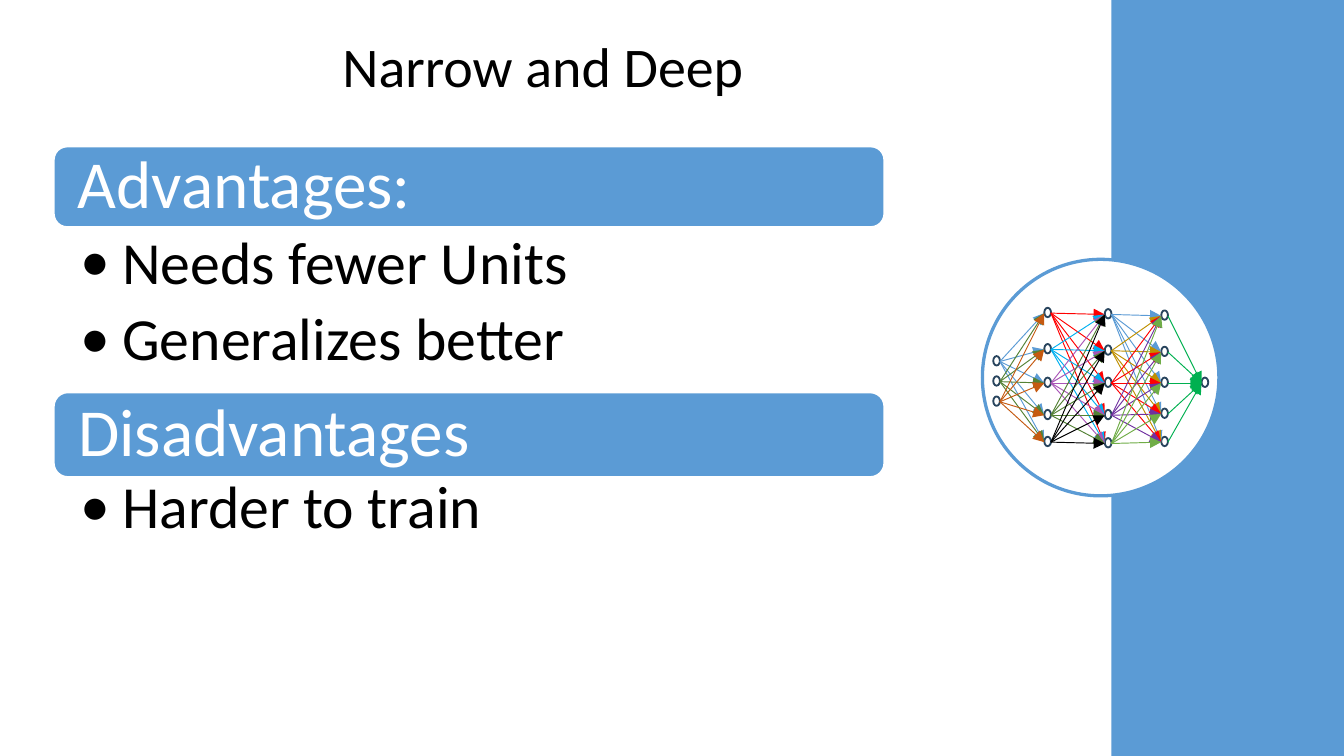
from dataclasses import dataclass
from itertools import pairwise, product

from lxml import etree
from pptx import Presentation
from pptx import util as u
from pptx.dml.color import RGBColor
from pptx.enum import shapes as sh, text as tx
from pptx.oxml.ns import qn

INK = {
    "white": "FFFFFF", "black": "000000", "blue": "5B9BD5", "navy": "28445D",
    "moss": "548235", "rust": "C55A11", "red": "FF0000", "sky": "00B0F0",
    "plum": "A955B7", "gold": "BF9000", "violet": "7030A0", "leaf": "70AD47",
    "green": "00B050",
}
FONT = "Calibri"
NODE_W, NODE_H, PORT = 0.05, 0.07, 0.04  # PORT: link height below a node's top


@dataclass
class Layer:
    x: float
    tops: list[float]
    inks: list[str]  # colour of the links leaving each node


@dataclass
class Block:
    head: str
    top: float
    high: float
    body: float
    deep: float
    items: list[str]


NET = [
    Layer(7.39, [2.65, 2.8, 2.95], ["blue", "moss", "rust"]),
    Layer(7.77, [2.29, 2.56, 2.81, 3.05, 3.25], ["red", "sky", "plum", "moss", "black"]),
    Layer(8.22, [2.3, 2.57, 2.81, 3.05, 3.26], ["blue", "gold", "red", "violet", "leaf"]),
    Layer(8.64, [2.31, 2.58, 2.81, 3.04, 3.25], ["green"] * 5),
    Layer(8.94, [2.81], []),
]
BLOCKS = [
    Block("Advantages:", 1.09, 0.6, 1.69, 1.19, ["Needs fewer Units", "Generalizes better"]),
    Block("Disadvantages", 2.92, 0.63, 3.51, 1.09, ["Harder to train"]),
]


def rgb(name: str) -> RGBColor:
    return RGBColor.from_string(INK[name])


def inches(*vals: float) -> list[u.Length]:
    return [u.Inches(v) for v in vals]


def add_form(pool, kind, box: tuple, fill: str = "", line: str = "", wide: float = 1):
    form = pool.add_shape(kind, *inches(*box))
    form.shadow.inherit = False
    if fill:
        form.fill.solid()
        form.fill.fore_color.rgb = rgb(fill)
    else:
        form.fill.background()
    if line:
        form.line.color.rgb = rgb(line)
        form.line.width = u.Pt(wide)
    else:
        form.line.fill.background()
    return form


def add_link(pool, start: tuple, end: tuple, ink: str) -> None:
    link = pool.add_connector(sh.MSO_CONNECTOR.STRAIGHT, *inches(*start, *end))
    link.line.color.rgb = rgb(ink)
    link.line.width = u.Pt(0.5)
    etree.SubElement(link.line._get_or_add_ln(), qn("a:tailEnd"), type="triangle")
    etree.SubElement(link._element.spPr, qn("a:effectLst"))


def write(form, lines: list[str], size: float, ink: str, pad: tuple, after: float,
          align=tx.PP_ALIGN.LEFT, anchor=tx.MSO_ANCHOR.MIDDLE, dots: bool = False) -> None:
    """Fill a shape with paragraphs; pad is left, top, right, bottom."""
    frame = form.text_frame
    frame.word_wrap = True
    frame.vertical_anchor = anchor
    (frame.margin_left, frame.margin_top,
     frame.margin_right, frame.margin_bottom) = inches(*pad)
    for i, line in enumerate(lines):
        para = frame.add_paragraph() if i else frame.paragraphs[0]
        para.text = line
        para.alignment = align
        para.line_spacing = 0.9
        para.space_after = u.Pt(after)
        para.font.name = FONT
        para.font.size = u.Pt(size)
        para.font.color.rgb = rgb(ink)
        if dots:
            add_dot(para)


def add_dot(para) -> None:
    para.level = 1
    props = para._p.get_or_add_pPr()
    hang = u.Inches(0.31)
    props.set("marL", str(hang))
    props.set("indent", str(-hang))
    last = props.find(qn("a:defRPr"))
    last.addprevious(etree.Element(qn("a:buFont"), typeface=FONT))
    last.addprevious(etree.Element(qn("a:buChar"), char="•"))


def draw_net(pool) -> None:
    for layer in NET:
        for top in layer.tops:
            add_form(pool, sh.MSO_SHAPE.OVAL, (layer.x, top, NODE_W, NODE_H), line="navy")
    for near, far in pairwise(NET):
        for (top, ink), goal in product(zip(near.tops, near.inks), far.tops):
            add_link(pool, (near.x + NODE_W, top + PORT), (far.x, goal + PORT), ink)


def draw_block(pool, block: Block) -> None:
    bar = add_form(pool, sh.MSO_SHAPE.ROUNDED_RECTANGLE,
                   (0.4, block.top, 6.18, block.high), "blue", "white")
    write(bar, [block.head], 36, "white", (0.15,) * 4, 0)
    body = pool.add_textbox(*inches(0.4, block.body, 6.18, block.deep))
    write(body, block.items, 32, "black", (0.2, 0.04, 0.25, 0.04), 6.4,
          anchor=tx.MSO_ANCHOR.TOP, dots=True)


def main() -> None:
    deck = Presentation()
    deck.slide_width = u.Inches(10)
    deck.slide_height = deck.slide_width * 9 // 16
    pool = deck.slides.add_slide(deck.slide_layouts[6]).shapes
    title = pool.add_textbox(*inches(0.03, 0.16, 8.02, 0.72))
    write(title, ["Narrow and Deep"], 30, "black", (0.07, 0.04, 0.07, 0.04), 4.5,
          align=tx.PP_ALIGN.CENTER)
    panel = add_form(pool, sh.MSO_SHAPE.RECTANGLE, (8.27, 0, 1.73, 5.62), "blue")
    panel.height = deck.slide_height
    add_form(pool, sh.MSO_SHAPE.OVAL, (7.31, 1.93, 1.76, 1.76), "white", "blue", 1.75)
    draw_net(pool.add_group_shape().shapes)
    for block in BLOCKS:
        draw_block(pool, block)
    deck.save("out.pptx")


if __name__ == "__main__":
    main()
